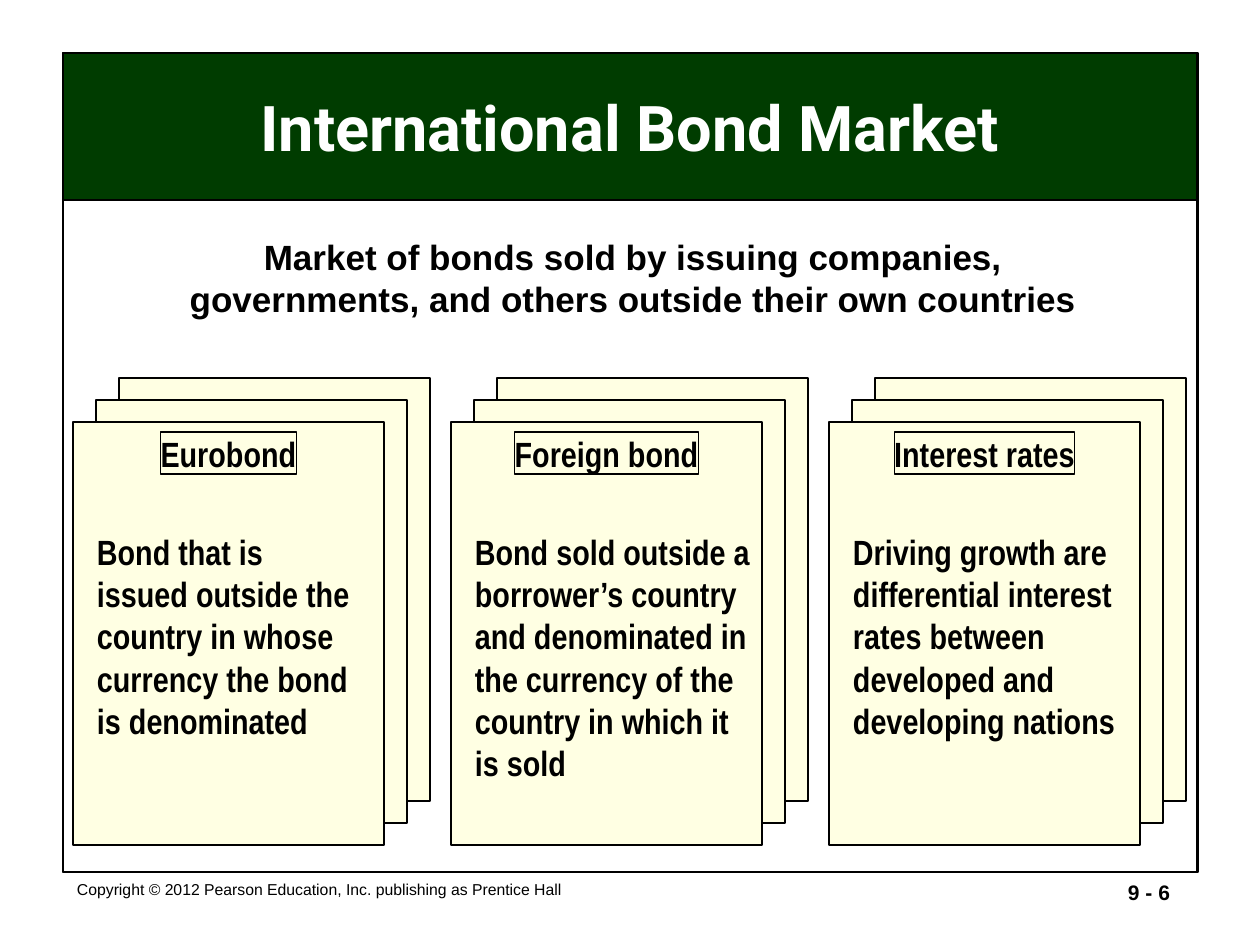
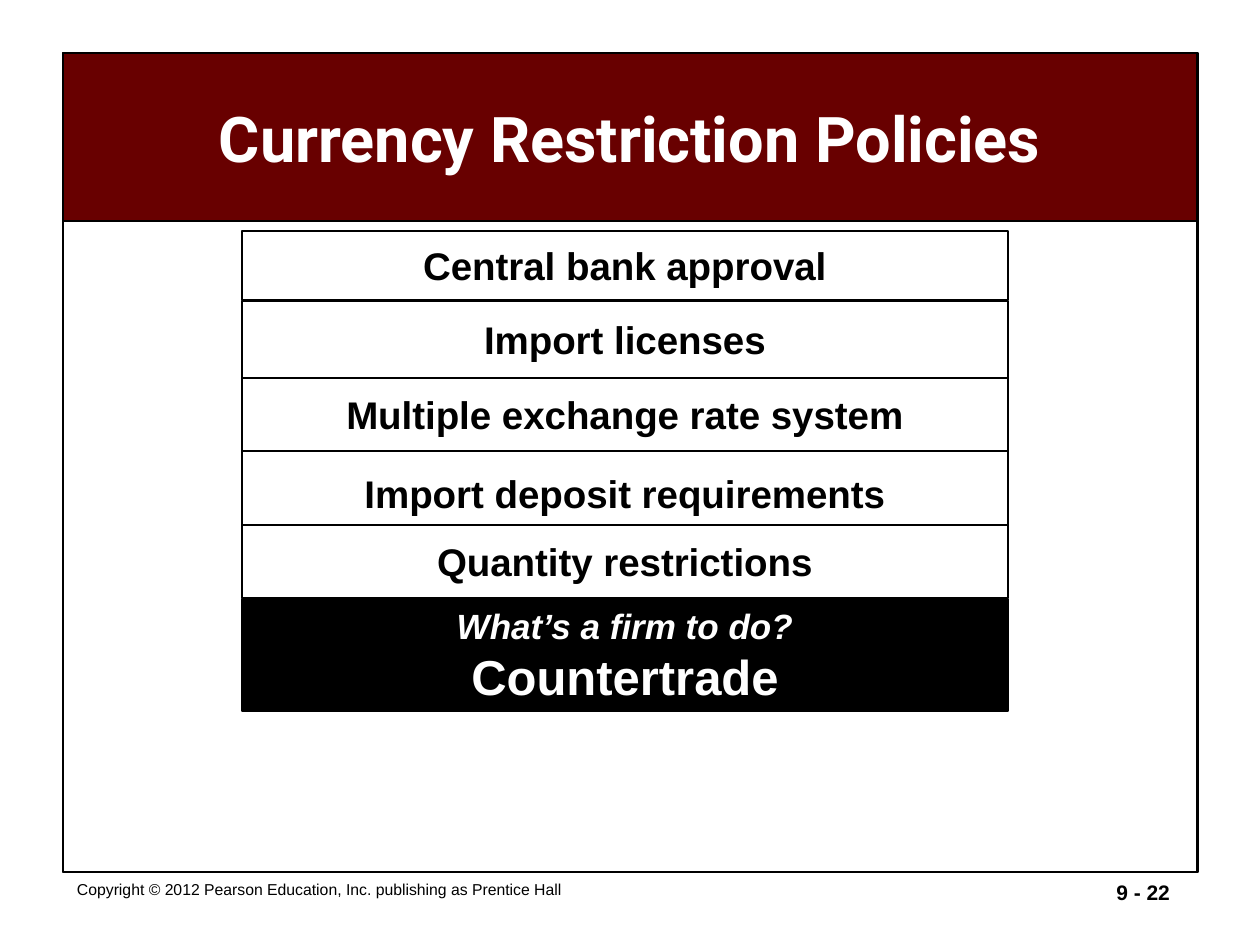
from dataclasses import dataclass

from pptx import Presentation
from pptx.dml.color import RGBColor
from pptx.enum.shapes import MSO_SHAPE
from pptx.enum.text import MSO_ANCHOR, PP_ALIGN
from pptx.util import Emu, Pt

PX_PER_INCH = 126
SLIDE_SIZE = (1260, 945)
FRAME_LEFT, FRAME_TOP, FRAME_WIDTH, FRAME_HEIGHT = 63, 53, 1134, 819
FRAME_BOTTOM = FRAME_TOP + FRAME_HEIGHT
COPYRIGHT = "Copyright © 2012 Pearson Education, Inc. publishing as Prentice Hall"


@dataclass(frozen=True)
class Theme:
    white: str = "FFFFFF"
    black: str = "000000"
    green: str = "003C00"
    maroon: str = "680000"
    cream: str = "FFFFE3"
    line_width: float = 0.75


THEME = Theme()


def type_style(name, size, bold=True, italic=False, color=THEME.black):
    return {"name": name, "size": Pt(size), "bold": bold, "italic": italic, "color": color}


TYPE = {
    "title": type_style("Roboto", 36, color=THEME.white),
    "lead": type_style("Arial", 20),
    "card": type_style("Arial Narrow", 20),
    "row": type_style("Arial", 22),
    "question": type_style("Arial", 20, italic=True, color=THEME.white),
    "answer": type_style("Arial", 28, color=THEME.white),
    "copyright": type_style("Arial", 9, bold=False),
    "number": type_style("Arial", 12),
}


def px(length):
    return Emu(round(length * 914400 / PX_PER_INCH))


def place(area):
    return [px(length) for length in area]


def write(box, lines, align=PP_ALIGN.LEFT, anchor=MSO_ANCHOR.TOP, inset=(13, 6), wrap=True):
    """Fill a box with (text, style name) paragraphs."""
    frame = box.text_frame
    side, end = place(inset)
    frame_format = {
        "word_wrap": wrap, "vertical_anchor": anchor,
        "margin_left": side, "margin_right": side,
        "margin_top": end, "margin_bottom": end,
    }
    for key, value in frame_format.items():
        setattr(frame, key, value)
    for index, (text, style) in enumerate(lines):
        para = frame.add_paragraph() if index else frame.paragraphs[0]
        para.alignment = align
        span = para.add_run()
        span.text = text
        for key, value in TYPE[style].items():
            if key == "color":
                span.font.color.rgb = RGBColor.from_string(value)
            else:
                setattr(span.font, key, value)


def add_box(page, area, fill=THEME.white):
    box = page.shapes.add_shape(MSO_SHAPE.RECTANGLE, *place(area))
    box.shadow.inherit = False
    box.fill.solid()
    box.fill.fore_color.rgb = RGBColor.from_string(fill)
    box.line.color.rgb = RGBColor.from_string(THEME.black)
    box.line.width = Pt(THEME.line_width)
    return box


def add_text(page, area, text, style, align=PP_ALIGN.LEFT):
    box = page.shapes.add_textbox(*place(area))
    write(box, [(text, style)], align)


def add_page(deck, title, band_color, band_height, number):
    page = deck.slides.add_slide(deck.slide_layouts[6])
    # Frame and footer
    add_box(page, (FRAME_LEFT, FRAME_TOP, FRAME_WIDTH + 1, FRAME_HEIGHT))
    add_text(page, (921, 873, 262, 55), number, "number", PP_ALIGN.RIGHT)
    add_text(page, (64, 874, 712, 58), COPYRIGHT, "copyright")
    # Body panel and title band
    panel_top = FRAME_TOP + band_height
    add_box(page, (FRAME_LEFT, panel_top, FRAME_WIDTH, FRAME_BOTTOM - panel_top))
    band = add_box(page, (FRAME_LEFT, FRAME_TOP, FRAME_WIDTH, band_height), band_color)
    write(band, [(title, "title")], PP_ALIGN.CENTER, MSO_ANCHOR.MIDDLE)
    return page


def add_card_stack(page, left, heading, heading_width, body, body_width):
    top, width, height = 422, 311, 423
    # Back card first, each next one lower and further left
    for depth in (2, 1, 0):
        add_box(page, (left + 23 * depth, top - 22 * depth, width, height), THEME.cream)
    label_left = left + (width - heading_width) / 2
    label = add_box(page, (label_left, top + 10, heading_width, 42), THEME.cream)
    write(label, [(heading, "card")], PP_ALIGN.CENTER, inset=(0, 0), wrap=False)
    add_text(page, (left + 11, top + 103, body_width, 264), body, "card")


def add_row(page, top, height, lines, fill=THEME.white):
    row = add_box(page, (242, top, 766, height), fill)
    write(row, lines, PP_ALIGN.CENTER, MSO_ANCHOR.MIDDLE, wrap=False)


def build_bond_market(deck):
    page = add_page(deck, "International Bond Market", THEME.green, 147, "9 - 6")
    add_text(page, (176, 229, 914, 97),
             "Market of bonds sold by issuing companies, governments, "
             "and others outside their own countries", "lead", PP_ALIGN.CENTER)
    cards = [
        ("Eurobond", 136, "Bond that is issued outside the country in whose "
         "currency the bond is denominated", 284),
        ("Foreign bond", 184, "Bond sold outside a borrower’s country and denominated "
         "in the currency of the country in which it is sold", 305),
        ("Interest rates", 180, "Driving growth are differential interest rates "
         "between developed and developing nations", 294),
    ]
    for column, card in enumerate(cards):
        add_card_stack(page, 73 + 378 * column, *card)


def build_restriction_policies(deck):
    page = add_page(deck, "Currency Restriction Policies", THEME.maroon, 168, "9 - 22")
    policies = [
        ("Central bank approval", 231, 69),
        ("Import licenses", 301, 77),
        ("Multiple exchange rate system", 378, 73),
        ("Import deposit requirements", 451, 84),
        ("Quantity restrictions", 525, 73),
    ]
    for policy, top, height in policies:
        add_row(page, top, height, [(policy, "row")])
    # Closing answer
    add_row(page, 599, 112,
            [("What’s a firm to do?", "question"), ("Countertrade", "answer")], THEME.black)


def main():
    deck = Presentation()
    deck.slide_width, deck.slide_height = place(SLIDE_SIZE)
    build_bond_market(deck)
    build_restriction_policies(deck)
    deck.save("out.pptx")


if __name__ == "__main__":
    main()
